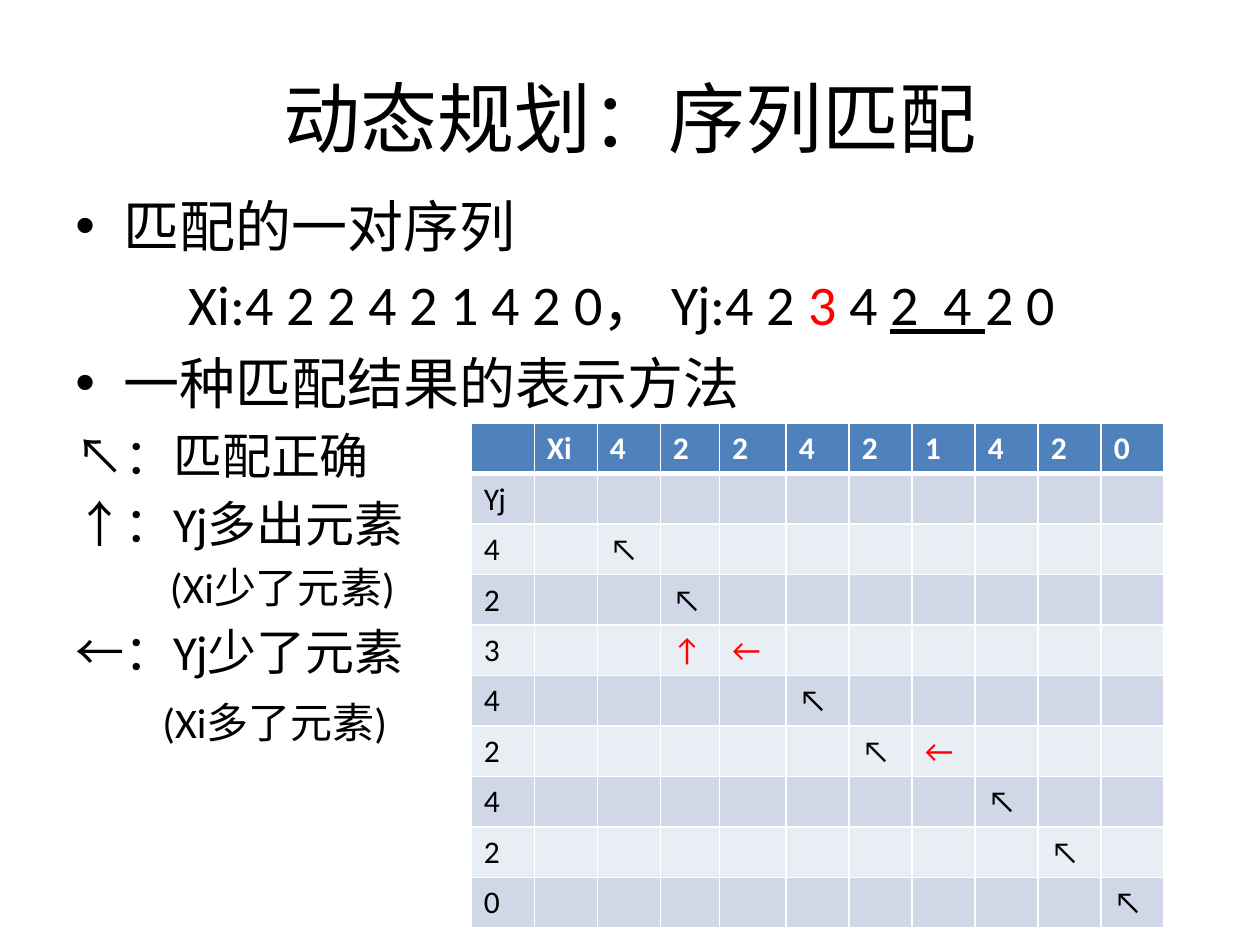
from lxml import etree
from pptx import Presentation
from pptx.dml.color import RGBColor
from pptx.enum.text import MSO_ANCHOR, PP_ALIGN
from pptx.oxml.ns import qn
from pptx.util import Inches, Pt

CENTER = PP_ALIGN.CENTER
MIDDLE = MSO_ANCHOR.MIDDLE
FONT = "Calibri"
BLACK, WHITE, RED = "000000", "FFFFFF", "FF0000"
HEADER_FILL, BAND_FILLS = "4F81BD", ("D0D8E8", "E9EDF4")

X_SEQUENCE = "422421420"
Y_SEQUENCE = "42342420"
COLUMN_WIDTHS = [0.5, 0.5, 0.5, 0.47, 0.53] + [0.5] * 6
ROW_HEIGHT = 0.4
# Arrows keyed by (position in Y, position in X)
MATCHES = {
    (0, 0): "↖", (1, 1): "↖", (2, 1): "↑", (2, 2): "←", (3, 3): "↖",
    (4, 4): "↖", (4, 5): "←", (5, 6): "↖", (6, 7): "↖", (7, 8): "↖",
}


def color(value):
    return RGBColor.from_string(value)


def add_run(para, text, size, text_color=BLACK, bold=False, underline=False):
    span = para.add_run()
    span.text = text
    font = span.font
    font.name, font.size = FONT, Pt(size)
    font.bold, font.underline = bold, underline
    font.color.rgb = color(text_color)


def add_box(page, left, top, width, height):
    box = page.shapes.add_textbox(
        Inches(left), Inches(top), Inches(width), Inches(height))
    box.text_frame.word_wrap = True
    return box.text_frame


def set_indent(para, left, first=0, bullet=None):
    properties = para._p.get_or_add_pPr()
    properties.set("marL", str(Inches(left)))
    properties.set("indent", str(Inches(first)))
    if bullet:
        etree.SubElement(properties, qn("a:buFont"), typeface="Arial")
        etree.SubElement(properties, qn("a:buChar"), char=bullet)


def add_title(page, text):
    frame = add_box(page, 0.5, 0.3, 9, 1.25)
    frame.vertical_anchor = MIDDLE
    para = frame.paragraphs[0]
    para.alignment = CENTER
    add_run(para, text, 44)


def add_body(page):
    frame = add_box(page, 0.5, 1.47, 9, 5.23)
    sequences = [
        ("Xi:4 2 2 4 2 1 4 2 0， Yj:4 2 ", {}),
        ("3 ", {"text_color": RED}),
        ("4 ", {}),
        ("2  4 ", {"underline": True}),
        ("2 0", {}),
    ]
    # Size, space before, left indent, bulleted, runs
    lines = [
        (32, 6.4, 0.38, True, [("匹配的一对序列", {})]),
        (32, 6.4, 0.9, False, sequences),
        (32, 6.4, 0.38, True, [("一种匹配结果的表示方法", {})]),
        (28, 5.6, 0, False, [("↖：匹配正确", {})]),
        (28, 5.6, 0, False, [("↑：Yj多出元素", {})]),
        (24, 4.8, 0.75, False, [("(Xi少了元素)", {})]),
        (28, 5.6, 0, False, [("←：Yj少了元素", {})]),
        (24, 9.5, 0.69, False, [("(Xi多了元素)", {})]),
    ]
    for index, (size, before, left, bulleted, runs) in enumerate(lines):
        para = frame.add_paragraph() if index else frame.paragraphs[0]
        para.space_before = Pt(before)
        if bulleted:
            set_indent(para, left, -left, "•")
        else:
            set_indent(para, left)
        for text, style in runs:
            add_run(para, text, size, **style)


def set_borders(cell, bottom_width):
    properties = cell._tc.get_or_add_tcPr()
    for side, width in (("L", 1), ("R", 1), ("T", 1), ("B", bottom_width)):
        line = etree.SubElement(
            properties, qn(f"a:ln{side}"), w=str(Pt(width)))
        fill = etree.SubElement(line, qn("a:solidFill"))
        etree.SubElement(fill, qn("a:srgbClr"), val=WHITE)


def fill_cell(cell, text, fill, text_color, header):
    set_borders(cell, 3 if header else 1)
    cell.fill.solid()
    cell.fill.fore_color.rgb = color(fill)
    if text:
        add_run(cell.text_frame.paragraphs[0], text, 18, text_color, header)


def add_match_table(page):
    # Header row, Yj row, then one row for each element of Y
    rows = [["", "Xi", *X_SEQUENCE], ["Yj"] + [""] * (len(X_SEQUENCE) + 1)]
    for y, element in enumerate(Y_SEQUENCE):
        arrows = [MATCHES.get((y, x), "") for x in range(len(X_SEQUENCE))]
        rows.append([element, "", *arrows])

    table = page.shapes.add_table(
        len(rows), len(COLUMN_WIDTHS), Inches(3.74), Inches(3.36),
        Inches(sum(COLUMN_WIDTHS)), Inches(ROW_HEIGHT * len(rows))).table
    for column, width in zip(table.columns, COLUMN_WIDTHS):
        column.width = Inches(width)
    for r, texts in enumerate(rows):
        header = r == 0
        fill = HEADER_FILL if header else BAND_FILLS[(r - 1) % 2]
        for c, text in enumerate(texts):
            mismatch = text in ("↑", "←")
            text_color = WHITE if header else RED if mismatch else BLACK
            fill_cell(table.cell(r, c), text, fill, text_color, header)


def main():
    deck = Presentation()
    deck.slide_width, deck.slide_height = Inches(10), Inches(7.5)
    page = deck.slides.add_slide(deck.slide_layouts[6])
    add_title(page, "动态规划：序列匹配")
    add_body(page)
    add_match_table(page)
    deck.save("out.pptx")


if __name__ == "__main__":
    main()
